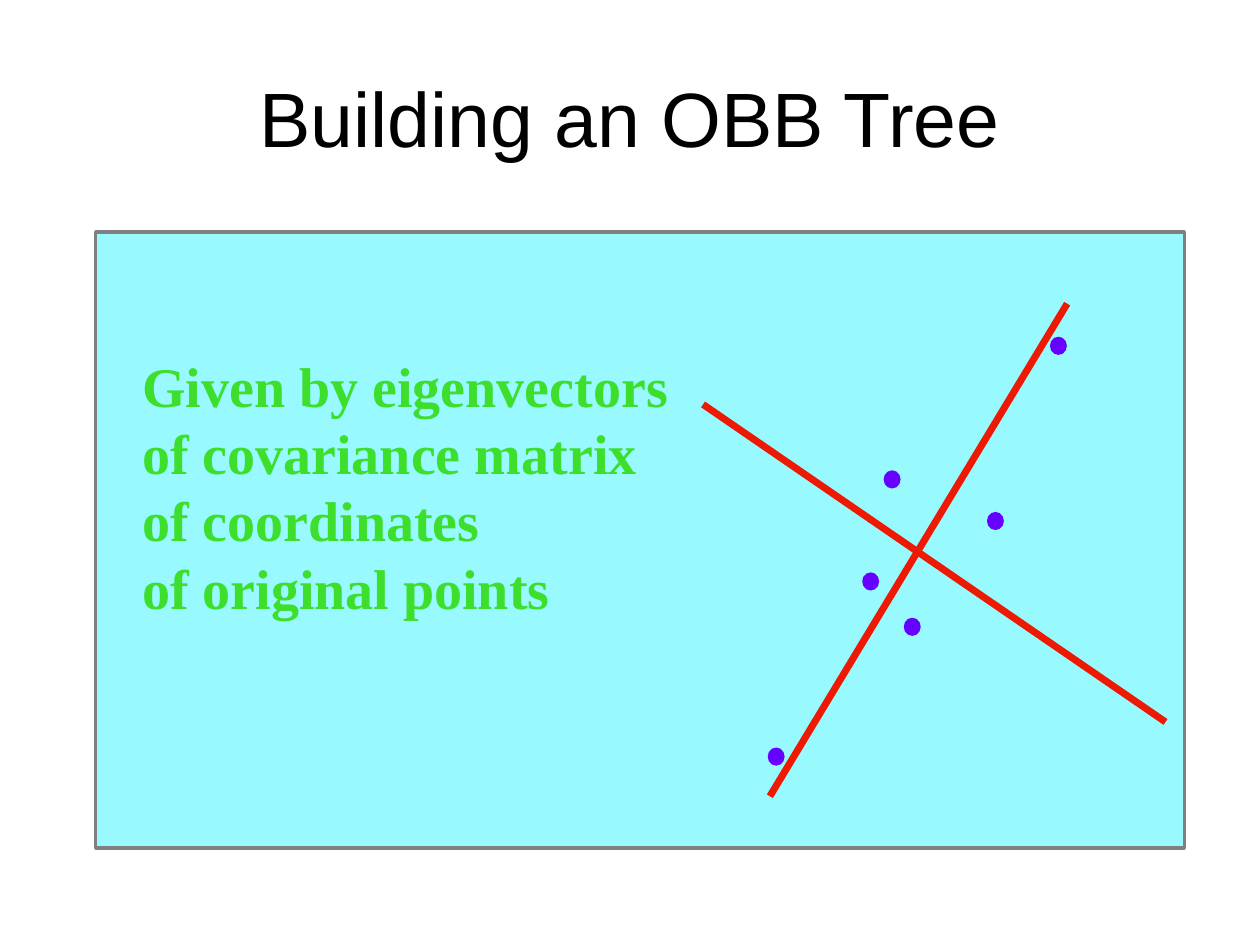
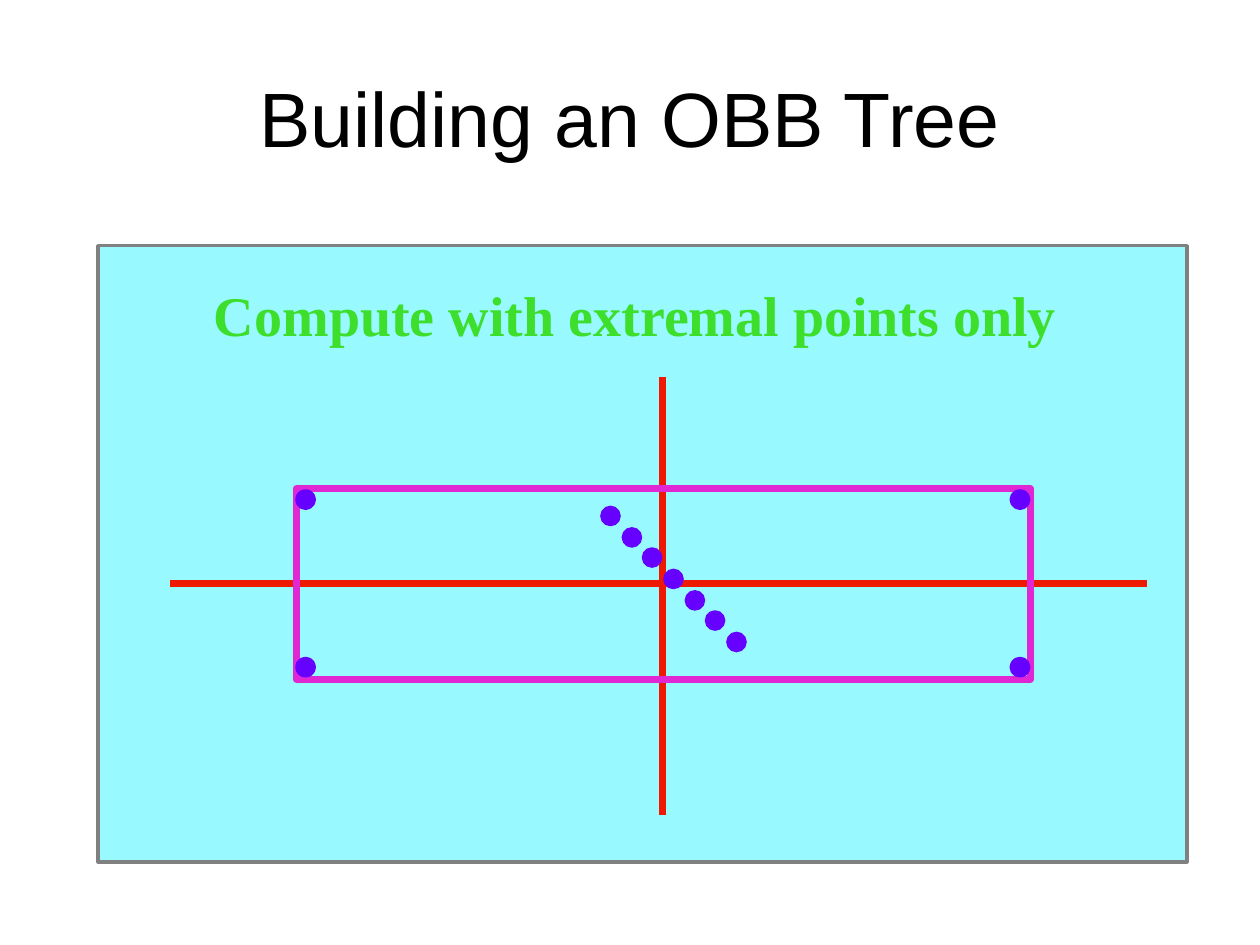
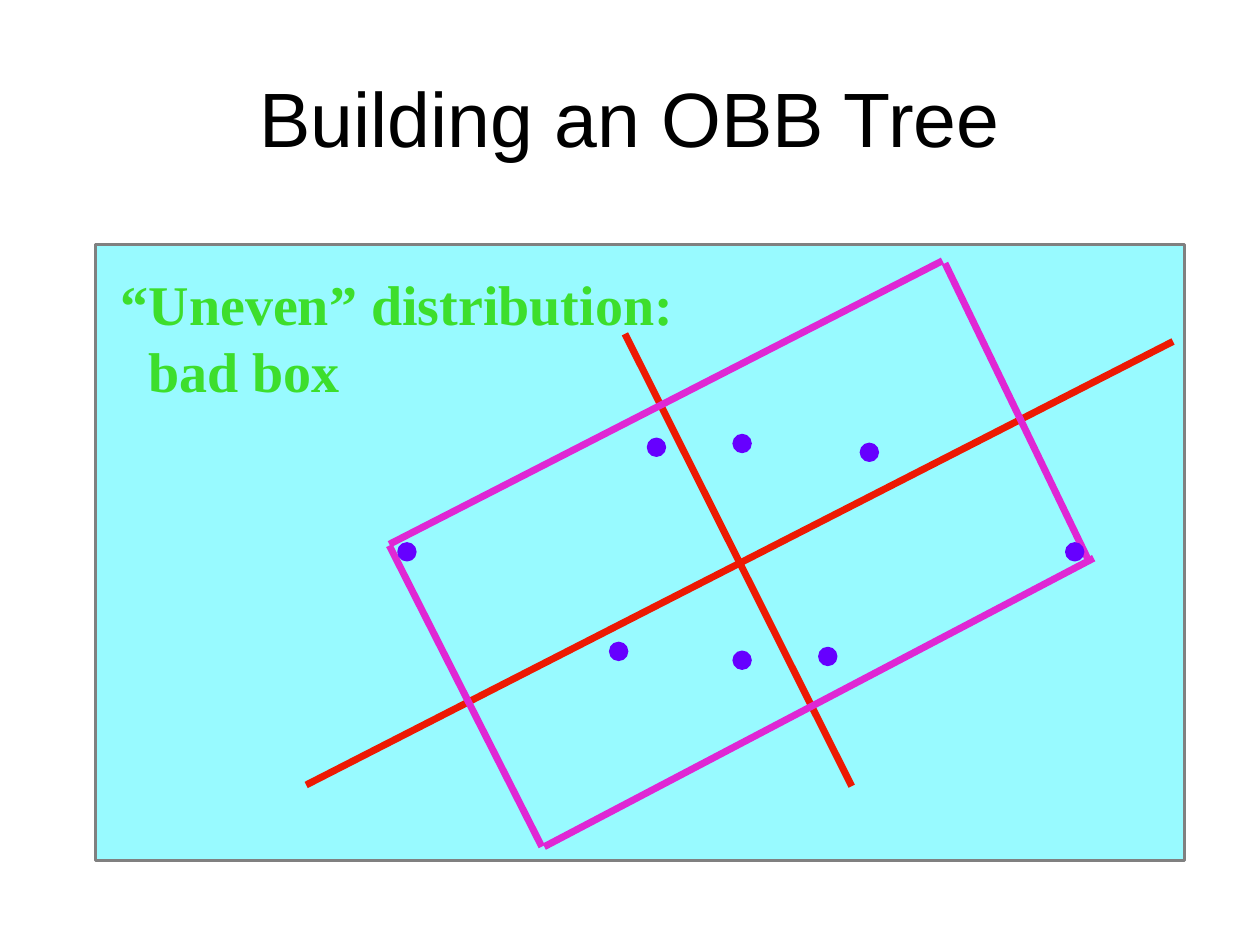
from pptx import Presentation
from pptx import util as u
from pptx.dml.color import RGBColor
from pptx.enum import shapes, text
from pptx.oxml.ns import qn
from lxml import etree

PX = 9144  # 100 px to the inch
COLORS = {
    "panel": "98FAFF", "frame": "808080", "title": "000000", "note": "3DDE2C",
    "point": "6600FF", "axis": "ED1903", "box": "DF27D4",
}
TITLE = "Building an OBB Tree"


def px(*lengths):
    return [u.Emu(n * PX) for n in lengths]


def rgb(name):
    return RGBColor.from_string(COLORS[name])


class Deck:
    def __init__(self):
        self.prs = Presentation()
        self.prs.slide_width, self.prs.slide_height = px(1000, 750)
        self.s = None

    def slide(self, panel_x, panel_y):
        """Start a slide with the shared title and panel."""
        self.s = self.prs.slides.add_slide(self.prs.slide_layouts[6])
        self.shape("RECTANGLE", panel_x, panel_y, 864, 489, "panel", "frame", 2)
        tf = self.text(50, 30, 900, 125, [TITLE], "Arial", 44, "title")
        tf.word_wrap = True
        tf.vertical_anchor = text.MSO_ANCHOR.MIDDLE
        tf.paragraphs[0].alignment = text.PP_ALIGN.CENTER

    def shape(self, kind, x, y, w, h, fill, line, weight):
        sp = self.s.shapes.add_shape(shapes.MSO_SHAPE[kind], *px(x, y, w, h))
        sp.shadow.inherit = False
        if fill:
            sp.fill.solid()
            sp.fill.fore_color.rgb = rgb(fill)
        else:
            sp.fill.background()
        sp.line.color.rgb = rgb(line)
        sp.line.width = u.Pt(weight)

    def points(self, places, w, h, weight=1):
        for x, y in places:
            self.shape("OVAL", x, y, w, h, "point", "point", weight)

    def lines(self, color, *ends):
        for end in ends:
            sp = self.s.shapes.add_connector(shapes.MSO_CONNECTOR.STRAIGHT, *px(*end))
            sp.line.color.rgb = rgb(color)
            sp.line.width = u.Pt(4)
            etree.SubElement(sp._element.spPr, qn("a:effectLst"))

    def text(self, x, y, w, h, rows, font, size, color, bold=False):
        tf = self.s.shapes.add_textbox(*px(x, y, w, h)).text_frame
        tf.word_wrap = False
        for i, row in enumerate(rows):
            p = tf.add_paragraph() if i else tf.paragraphs[0]
            r = p.add_run()
            r.text = row
            r.font.name, r.font.size, r.font.bold = font, u.Pt(size), bold
            r.font.color.rgb = rgb(color)
        return tf

    def note(self, x, y, w, h, *rows):
        tf = self.text(x, y, w, h, rows, "Times New Roman", 32, "note", True)
        tf.auto_size = text.MSO_AUTO_SIZE.SHAPE_TO_FIT_TEXT
        return tf


def main():
    d = Deck()

    # Axes from eigenvectors
    d.slide(76, 184)
    d.note(103, 274, 438, 224, "Given by eigenvectors", "of covariance matrix",
           "of coordinates", "of original points")
    d.points([(834, 268), (702, 374), (784, 407), (685, 455), (718, 491), (610, 594)],
             12, 13)
    d.lines("axis", (925, 573, 558, 321), (847, 241, 611, 632))

    # Box around extremal points
    d.slide(78, 195)
    d.note(160, 218, 690, 63, "Compute with extremal points only")
    d.lines("axis", (910, 463, 135, 463), (526, 299, 526, 647))
    d.shape("RECTANGLE", 235, 388, 583, 151, None, "box", 4)
    d.points([(x, y) for x in (237, 804) for y in (391, 524)], 11, 11, 4)
    steps = [round(i * 100 / 6) for i in range(7)]
    d.points([(477 + n, 402 + n) for n in steps], 15, 15)

    # Bad box from uneven points
    d.slide(76, 194)
    tf = d.note(86, 209, 459, 117, "“Uneven” distribution:", "bad box")
    tf.paragraphs[1]._p.get_or_add_pPr().set("marL", str(22 * PX))
    d.lines("axis", (496, 265, 676, 624))
    d.points([(582, 345), (582, 517), (514, 348), (484, 510), (650, 514), (683, 352)],
             14, 14)
    d.lines("axis", (243, 623, 931, 271))
    d.lines("box", (309, 432, 748, 207), (309, 433, 430, 672),
            (432, 672, 868, 443), (750, 209, 865, 447))
    d.points([(846, 431), (316, 431)], 14, 14)

    d.prs.save("out.pptx")


if __name__ == "__main__":
    main()
